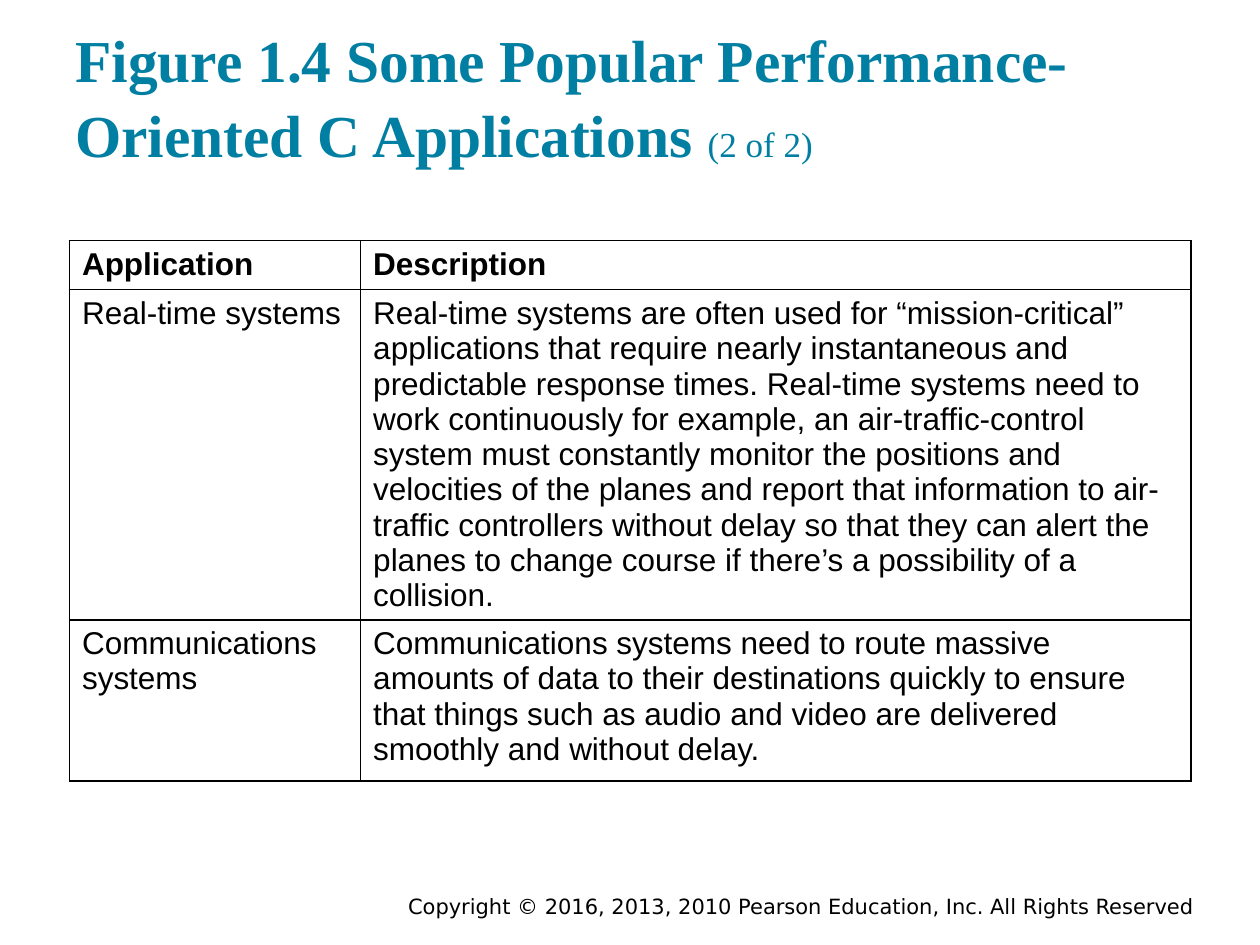
"""Build the slide listing performance-oriented C applications."""
from dataclasses import dataclass

from lxml.etree import SubElement
from pptx import Presentation
from pptx.dml.color import RGBColor
from pptx.enum.text import MSO_ANCHOR as Anchor, PP_ALIGN as Align
from pptx.oxml.ns import qn
from pptx.util import Cm, Pt


@dataclass(frozen=True)
class Theme:
    title: str = "007FA3"
    ink: str = "000000"
    title_pt: int = 34
    part_pt: int = 20
    body_pt: int = 18
    footer_pt: int = 12
    title_font: str = "Times New Roman"
    body_font: str = "Arial"
    footer_font: str = "DejaVu Sans"


THEME = Theme()
ROWS = [
    ("Application", "Description"),
    ("Real-time systems",
     "Real-time systems are often used for “mission-critical” applications that require "
     "nearly instantaneous and predictable response times. Real-time systems need to work "
     "continuously for example, an air-traffic-control system must constantly monitor the "
     "positions and velocities of the planes and report that information to air-traffic "
     "controllers without delay so that they can alert the planes to change course if "
     "there’s a possibility of a collision."),
    ("Communications systems",
     "Communications systems need to route massive amounts of data to their destinations "
     "quickly to ensure that things such as audio and video are delivered smoothly and "
     "without delay."),
]
COL_WIDTHS = [Cm(5.87), Cm(16.74)]
ROW_HEIGHTS = [Cm(0.99), Cm(6.65), Cm(3.25)]


def set_font(font, name, size, color, bold=False):
    font.name, font.size, font.bold = name, Pt(size), bold
    font.color.rgb = RGBColor.from_string(color)


def add_borders(cell):
    tc_pr = cell._tc.get_or_add_tcPr()
    for side in ("lnL", "lnR", "lnT", "lnB"):
        line = SubElement(tc_pr, qn(f"a:{side}"), w=str(Pt(1)))
        fill = SubElement(line, qn("a:solidFill"))
        SubElement(fill, qn("a:srgbClr"), val=THEME.ink)


prs = Presentation()
prs.slide_width, prs.slide_height = Cm(25.4), Cm(19.05)
s = prs.slides.add_slide(prs.slide_layouts[5])

title = s.shapes.title
title.left, title.top, title.width, title.height = Cm(1.27), Cm(0.61), Cm(22.86), Cm(3.05)
tf = title.text_frame
tf.word_wrap = True
tf.vertical_anchor = Anchor.BOTTOM
tf.margin_left = tf.margin_right = tf.margin_top = tf.margin_bottom = Cm(0.25)
p = tf.paragraphs[0]
p.alignment, p.line_spacing = Align.LEFT, 1.05
for text, size, bold in [
    ("Figure 1.4 Some Popular Performance-Oriented C Applications ", THEME.title_pt, True),
    ("(2 of 2)", THEME.part_pt, False),
]:
    r = p.add_run()
    r.text = text
    set_font(r.font, THEME.title_font, size, THEME.title, bold)

table = s.shapes.add_table(len(ROWS), len(COL_WIDTHS), Cm(1.4), Cm(4.85),
                           sum(COL_WIDTHS), sum(ROW_HEIGHTS)).table
table.horz_banding = False
for column, width in zip(table.columns, COL_WIDTHS):
    column.width = width
for i, (row, height, texts) in enumerate(zip(table.rows, ROW_HEIGHTS, ROWS)):
    row.height = height
    for cell, text in zip(row.cells, texts):
        add_borders(cell)
        cell.fill.background()
        cell.text = text
        set_font(cell.text_frame.paragraphs[0].font, THEME.body_font, THEME.body_pt,
                 THEME.ink, bold=i == 0)

footer = s.shapes.add_textbox(Cm(7.44), Cm(17.98), Cm(16.89), Cm(0.56))
tf = footer.text_frame
tf.word_wrap = True
tf.vertical_anchor = Anchor.MIDDLE
tf.margin_top = tf.margin_bottom = 0
p = tf.paragraphs[0]
p.text = "Copyright © 2016, 2013, 2010 Pearson Education, Inc. All Rights Reserved"
p.alignment = Align.RIGHT
set_font(p.font, THEME.footer_font, THEME.footer_pt, THEME.ink)

prs.save("out.pptx")
